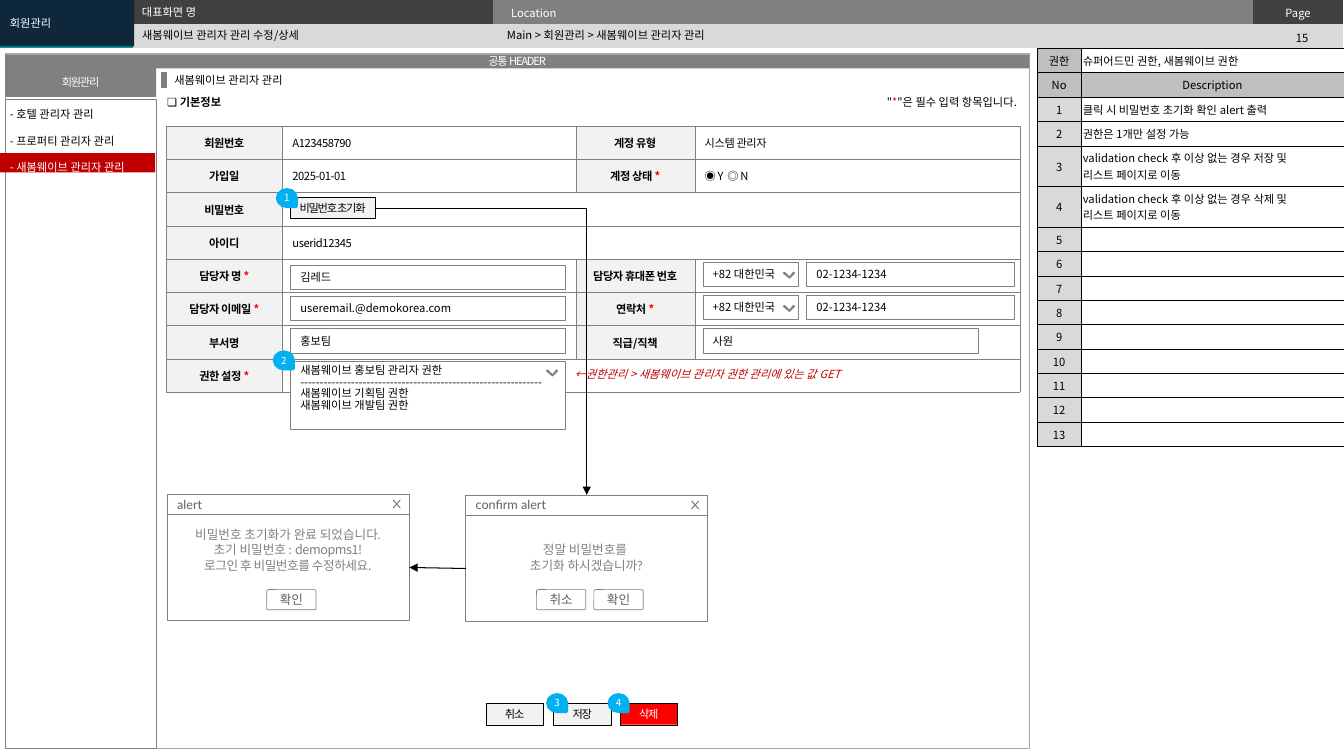
from dataclasses import dataclass, replace
from typing import NamedTuple, Optional, Sequence

from lxml import etree
from pptx import Presentation
from pptx.dml.color import RGBColor
from pptx.enum.shapes import MSO_CONNECTOR, MSO_SHAPE
from pptx.enum.text import MSO_ANCHOR, MSO_AUTO_SIZE, PP_ALIGN
from pptx.oxml.ns import qn
from pptx.util import Inches, Pt

RECT, ROUND, TEAR = MSO_SHAPE.RECTANGLE, MSO_SHAPE.ROUNDED_RECTANGLE, MSO_SHAPE.TEAR
STRAIGHT, ELBOW = MSO_CONNECTOR.STRAIGHT, MSO_CONNECTOR.ELBOW
LEFT, CENTER, RIGHT = PP_ALIGN.LEFT, PP_ALIGN.CENTER, PP_ALIGN.RIGHT
TOP, MIDDLE = MSO_ANCHOR.TOP, MSO_ANCHOR.MIDDLE
NO_STYLE = "{2D5ABB26-0587-4C30-8999-92F81FD0307C}"


@dataclass(frozen=True)
class Theme:
    font: str = "Noto Sans CJK KR"
    dialog_font: str = "Lato"
    body: float = 8
    dialog: float = 9
    badge: float = 7
    black: str = "000000"
    white: str = "FFFFFF"
    navy: str = "0E273B"
    teal: str = "009CA6"
    dark: str = "404040"
    icon: str = "5F5F5F"
    gray: str = "808080"
    frame: str = "A6A6A6"
    head: str = "BFBFBF"
    pale: str = "D9D9D9"
    label: str = "F2F2F2"
    blue: str = "00B0F0"
    red: str = "FF0000"
    crimson: str = "C00000"


T = Theme()


@dataclass(frozen=True)
class Style:
    color: str = T.black
    size: float = T.body
    font: str = T.font
    bold: bool = False
    italic: bool = False
    spacing: float = 0
    align: PP_ALIGN = LEFT
    anchor: MSO_ANCHOR = MIDDLE
    insets: tuple = (0.1, 0.05, 0.1, 0.05)
    leading: Optional[float] = None
    wrap: bool = True


class Run(NamedTuple):
    text: str
    style: Style


class Box(NamedTuple):
    x: float
    y: float
    w: float
    h: float


class Dialog(NamedTuple):
    x: float
    y: float
    title: str
    text_box: Box
    lines: Sequence
    buttons: Sequence


PLAIN = Style()
TOP_TEXT = replace(PLAIN, anchor=TOP)
WHITE = replace(PLAIN, color=T.white)
BAR = replace(WHITE, align=CENTER, spacing=-0.9, insets=(0.04, 0.05, 0.04, 0.05))
BUTTON = replace(BAR, color=T.black, insets=(0, 0, 0, 0))
HEADER = replace(WHITE, anchor=TOP, insets=(0.18, 0.04, 0.18, 0.04))
NOTE = replace(PLAIN, insets=(0.02, 0.04, 0.02, 0.04))
VALUE = replace(PLAIN, spacing=-0.3)
LABEL = replace(VALUE, bold=True, align=CENTER)
BADGE = replace(BUTTON, color=T.white, size=T.badge, spacing=0)
MESSAGE = Style(T.gray, T.dialog, T.dialog_font, align=CENTER, anchor=TOP,
                insets=(0.08, 0.04, 0.08, 0.04))
DIALOG_BUTTON = Style(T.icon, T.dialog, T.dialog_font, align=CENTER)
DIALOG_TITLE = replace(DIALOG_BUTTON, align=LEFT, insets=(0.1, 0.05, 0.25, 0.05))


def rgb(value: str) -> RGBColor:
    return RGBColor.from_string(value)


def write(tf, lines: Sequence, style: Style) -> None:
    """Each line is a string or a list of runs."""
    for i, line in enumerate(lines):
        p = tf.paragraphs[0] if i == 0 else tf.add_paragraph()
        p.alignment = style.align
        if style.leading:
            p.line_spacing = style.leading
        for text, st in ([Run(line, style)] if isinstance(line, str) else line):
            r = p.add_run()
            r.text = text
            f = r.font
            f.size, f.name, f.bold, f.italic = Pt(st.size), st.font, st.bold, st.italic
            f.color.rgb = rgb(st.color)
            rPr = r._r.get_or_add_rPr()
            etree.SubElement(rPr, qn("a:ea")).set("typeface", T.font)
            if st.spacing:
                rPr.set("spc", str(round(st.spacing * 100)))


def fill_frame(tf, lines: Sequence, style: Style) -> None:
    tf.auto_size = MSO_AUTO_SIZE.NONE
    tf.word_wrap, tf.vertical_anchor = style.wrap, style.anchor
    tf.margin_left, tf.margin_top, tf.margin_right, tf.margin_bottom = map(Inches, style.insets)
    write(tf, lines, style)


def paint(sp, fill: Optional[str], line: Optional[str], width: float) -> None:
    sp.shadow.inherit = False
    if fill:
        sp.fill.solid()
        sp.fill.fore_color.rgb = rgb(fill)
    else:
        sp.fill.background()
    if line:
        sp.line.color.rgb, sp.line.width = rgb(line), Pt(width)
    else:
        sp.line.fill.background()


def add_shape(s, box: Box, fill=None, line=None, width=0.25, lines=(), style=PLAIN, kind=RECT):
    sp = s.shapes.add_shape(kind, *map(Inches, box))
    paint(sp, fill, line, width)
    fill_frame(sp.text_frame, lines, style)
    return sp


def add_text(s, box: Box, lines: Sequence, style: Style = TOP_TEXT) -> None:
    fill_frame(s.shapes.add_textbox(*map(Inches, box)).text_frame, lines, style)


def add_line(s, start, end, color=T.black, width=0.75, arrow=True, kind=STRAIGHT):
    cn = s.shapes.add_connector(kind, *map(Inches, (*start, *end)))
    cn.line.color.rgb, cn.line.width = rgb(color), Pt(width)
    if arrow:
        etree.SubElement(cn.line._get_or_add_ln(), qn("a:tailEnd")).set("type", "triangle")
    etree.SubElement(cn._element.spPr, qn("a:effectLst"))
    return cn


def add_outline(s, x: float, y: float, strokes: Sequence, fill=None) -> None:
    start = strokes[0][0]
    fb = s.shapes.build_freeform(Inches(x + start[0]), Inches(y + start[1]))
    for i, stroke in enumerate(strokes):
        points = [(Inches(x + dx), Inches(y + dy)) for dx, dy in stroke]
        if i:
            fb.move_to(*points[0])
        fb.add_line_segments(points[1:], close=bool(fill))
    paint(fb.convert_to_shape(), fill, T.gray, 0.75)


def add_chevron(s, x: float, y: float) -> None:
    add_outline(s, x, y, [[(0.11, 0.01), (0.1, 0), (0.06, 0.05), (0.01, 0), (0, 0.01), (0.06, 0.06)]], T.icon)


def add_table(s, x: float, y: float, cols: Sequence, rows: Sequence):
    tb = s.shapes.add_table(len(rows), len(cols), *map(Inches, (x, y, sum(cols), sum(rows)))).table
    tb.first_row = tb.horz_banding = False
    tb._tbl.tblPr.find(qn("a:tableStyleId")).text = NO_STYLE
    for sizes, tracks, side in ((cols, tb.columns, "width"), (rows, tb.rows, "height")):
        for track, size in zip(tracks, sizes):
            setattr(track, side, Inches(size))
    return tb


def set_cell(cell, fill: str, line: Optional[str] = None, width=0.5, lines=(), style=NOTE) -> None:
    cell.vertical_anchor = style.anchor
    cell.margin_left, cell.margin_top, cell.margin_right, cell.margin_bottom = map(Inches, style.insets)
    write(cell.text_frame, lines, style)
    if not lines:
        etree.SubElement(cell.text_frame.paragraphs[0]._p, qn("a:endParaRPr")).set("sz", str(T.body * 100))
    for side in ("lnL", "lnR", "lnT", "lnB") if line else ():
        ln = etree.SubElement(cell._tc.get_or_add_tcPr(), qn("a:" + side), w=str(Pt(width)))
        etree.SubElement(etree.SubElement(ln, qn("a:solidFill")), qn("a:srgbClr")).set("val", line)
    cell.fill.solid()
    cell.fill.fore_color.rgb = rgb(fill)


def add_badge(s, x: float, y: float, number: int) -> None:
    sp = add_shape(s, Box(x, y, 0.17, 0.19), T.blue, T.blue, 2, [str(number)], BADGE, TEAR)
    sp.rotation = 90
    sp.text_frame._txBody.bodyPr.set("vert", "vert270")


def add_dialog(s, d: Dialog) -> None:
    add_shape(s, Box(d.x, d.y + 0.2, 2.4, 1.06), T.white, T.gray, 0.5)
    add_text(s, d.text_box, d.lines, MESSAGE)
    add_shape(s, Box(d.x, d.y, 2.4, 0.2), T.white, T.gray, 0.5, [d.title], DIALOG_TITLE)
    add_outline(s, d.x + 2.24, d.y + 0.06, [[(0.07, 0), (0, 0.08)], [(0, 0), (0.07, 0.08)]])
    left = d.x + 1.23 - (0.57 * len(d.buttons) - 0.08) / 2
    for i, name in enumerate(d.buttons):
        sp = add_shape(s, Box(left + 0.57 * i, 5.85, 0.49, 0.2), T.white, T.gray, 0.5,
                       [name], DIALOG_BUTTON, ROUND)
        sp.adjustments[0] = 0.09


def add_page_header(s) -> None:
    tb = add_table(s, 0, 0, [1.32, 3.57, 7.54, 0.89], [0.235, 0.235])
    tb.cell(0, 0).merge(tb.cell(1, 0))
    top = [(T.teal, []), (T.dark, []), (T.gray, ["Location"]), (T.dark, ["Page"])]
    for c, (fill, lines) in enumerate(top):
        set_cell(tb.cell(0, c), fill, lines=lines, style=replace(HEADER, align=CENTER if c == 3 else LEFT))
        set_cell(tb.cell(1, c), T.pale, style=HEADER)
    add_text(s, Box(12.48, 0.26, 0.87, 0.24), ["15"], replace(TOP_TEXT, align=CENTER))
    add_shape(s, Box(0.05, 0.53, 10.16, 6.89), line=T.frame)
    title = s.shapes.title
    title.left, title.top, title.width, title.height = map(Inches, Box(1.31, 0.24, 3.63, 0.22))
    fill_frame(title.text_frame, ["새봄웨이브 관리자 관리 수정/상세"], PLAIN)
    title._element.getparent().append(title._element)  # above the header table
    add_text(s, Box(4.93, 0.23, 7.38, 0.24), ["Main > 회원관리 > 새봄웨이브 관리자 관리"], PLAIN)
    add_text(s, Box(1.31, 0, 3.62, 0.22), ["대표화면 명"], replace(WHITE, anchor=TOP))
    add_shape(s, Box(0, 0, 1.33, 0.46), T.navy, lines=["회원관리"], style=WHITE)
    add_shape(s, Box(0.05, 0.98, 1.5, 6.44), line=T.gray)
    add_shape(s, Box(0.05, 0.54, 10.16, 0.14), T.gray, lines=["공통 HEADER"], style=BAR)
    add_shape(s, Box(0.05, 0.67, 1.5, 0.29), T.gray, lines=["회원관리"], style=BAR)


def add_descriptions(s) -> None:
    check = "validation check 후 이상 없는 경우 {} 및"
    notes = [["클릭 시 비밀번호 초기화 확인 alert 출력"], ["권한은 1개만 설정 가능"]]
    notes += [[check.format(act), "리스트 페이지로 이동"] for act in ("저장", "삭제")] + [[]] * 9
    rows = [("권한", ["슈퍼어드민 권한, 새봄웨이브 권한"]), ("No", ["Description"])]
    rows += [(str(i), note) for i, note in enumerate(notes, 1)]
    tb = add_table(s, 10.29, 0.48, [0.43, 2.61], [0.4 if len(n) == 2 else 0.237 for _, n in rows])
    middle = replace(NOTE, align=CENTER)
    for i, (key, note) in enumerate(rows):
        set_cell(tb.cell(i, 0), T.head if i < 2 else T.pale, T.black, lines=[key], style=middle)
        set_cell(tb.cell(i, 1), T.head if i == 1 else T.white, T.black, lines=note,
                 style=middle if i == 1 else NOTE)


def add_form(s) -> None:
    rows = [("회원번호", "A123458790", "계정 유형", "시스템 관리자"),
            ("가입일", "2025-01-01", "계정 상태 *", "◉ Y  ◎ N"),
            ("비밀번호", ""), ("아이디", "userid12345"),
            ("담당자 명 *", "", "담당자 휴대폰 번호", ""),
            ("담당자 이메일 *", "", "연락처 *", ""),
            ("부서명", "", "직급/직책", ""), ("권한 설정 *", "")]
    tb = add_table(s, 1.65, 1.25, [1.15, 2.91, 1.18, 3.23], [0.33] * len(rows))
    for i, row in enumerate(rows):
        if len(row) == 2:
            tb.cell(i, 1).merge(tb.cell(i, 3))
        for c, text in enumerate(row + ("",) * (4 - len(row))):
            label = c == 0 or (c == 2 and len(row) == 4)
            style = LABEL if label else VALUE
            runs = [Run(text.rstrip("*"), style)]
            if text.endswith("*"):
                runs.append(Run("*", replace(style, color=T.red)))
            set_cell(tb.cell(i, c), T.label if label else T.white, T.gray, 0.25, [runs] if text else [], style)

    # Inputs
    fields = [(2.88, 2.94, 2.73, "useremail.@demokorea.com"), (2.88, 3.26, 2.73, "홍보팀"),
              (6.97, 3.26, 2.73, "사원"), (2.88, 2.63, 2.73, "김레드")]
    for y in (2.6, 2.93):
        fields += [(6.97, y, 0.95, "+82 대한민국"), (8, y, 2.06, "02-1234-1234")]
    for x, y, w, text in fields:
        add_shape(s, Box(x, y, w, 0.24), T.white, T.gray, lines=[text])
    for y in (2.7, 3.03):
        add_chevron(s, 7.77, y)
    options = ["새봄웨이브 홍보팀 관리자 권한", "-" * 62, "새봄웨이브 기획팀 권한", "새봄웨이브 개발팀 권한"]
    add_shape(s, Box(2.88, 3.58, 2.73, 0.68), T.white, T.gray, lines=options,
              style=replace(TOP_TEXT, leading=0.85))
    add_chevron(s, 5.42, 3.67)


def main() -> None:
    prs = Presentation()
    prs.slide_width, prs.slide_height = Inches(13.33), Inches(7.5)
    s = prs.slides.add_slide(prs.slide_layouts[5])
    add_page_header(s)
    add_descriptions(s)

    # Section heading and form
    add_text(s, Box(1.63, 0.68, 2.41, 0.24), ["새봄웨이브 관리자 관리"])
    add_line(s, (1.63, 0.71), (1.63, 0.87), T.gray, 4.5, arrow=False)
    add_form(s)
    add_text(s, Box(1.56, 0.9, 0.76, 0.24), ["❏ 기본정보"], replace(TOP_TEXT, bold=True, wrap=False))
    hint = replace(TOP_TEXT, align=RIGHT, wrap=False)
    add_text(s, Box(8.53, 0.9, 1.68, 0.24),
             [[Run('"', hint), Run("*", replace(hint, color=T.red)), Run('"은 필수 입력 항목입니다. ', hint)]], hint)

    # Buttons
    for box, name, fill, color in ((Box(2.88, 1.96, 0.84, 0.21), "비밀번호 초기화", T.label, T.black),
                                   (Box(4.82, 6.98, 0.57, 0.21), "취소", T.label, T.black),
                                   (Box(5.49, 6.98, 0.57, 0.21), "저장", T.label, T.black),
                                   (Box(6.15, 6.98, 0.57, 0.21), "삭제", T.red, T.white)):
        add_shape(s, box, fill, T.black, lines=[name], style=replace(BUTTON, color=color))

    # Dialogs and flow
    add_dialog(s, Dialog(4.62, 4.91, "confirm alert", Box(4.67, 5.34, 2.29, 0.41),
                         ["정말 비밀번호를 ", "초기화 하시겠습니까?"], ["취소", "확인"]))
    elbow = add_line(s, (3.72, 2.07), (5.82, 4.91), kind=ELBOW)
    elbow._element.spPr.find(qn("a:prstGeom")).set("prst", "bentConnector2")
    password = replace(MESSAGE, font=T.font, spacing=-0.3)
    add_dialog(s, Dialog(1.66, 4.9, "alert", Box(1.71, 5.19, 2.29, 0.75),
                         ["비밀번호 초기화가 완료 되었습니다.",
                          [Run("초기 비밀번호 : ", MESSAGE), Run("demopms1!", password)],
                          [Run("로그인 후 비밀번호를 수정하세요.", password)]], ["확인"]))
    add_line(s, (4.62, 5.64), (4.06, 5.63))
    for number, (x, y) in enumerate([(2.76, 1.87), (2.73, 3.48), (5.44, 6.88), (6.05, 6.88)], 1):
        add_badge(s, x, y, number)

    # Side menu and remark
    add_shape(s, Box(-0.12, 1.52, 1.66, 0.19), T.crimson)
    menu = replace(TOP_TEXT, leading=2)
    add_text(s, Box(0, 0.88, 1.44, 0.87),
             ["- 호텔 관리자 관리", "- 프로퍼티 관리자 관리",
              [Run("- 새봄웨이브 관리자 관리", replace(menu, color=T.white))]], menu)
    add_text(s, Box(5.6, 3.62, 2.85, 0.24), ["←권한관리 > 새봄웨이브 관리자 권한 관리에 있는 값 GET"],
             replace(TOP_TEXT, color=T.crimson, italic=True, leading=0.85))
    prs.save("out.pptx")


if __name__ == "__main__":
    main()
